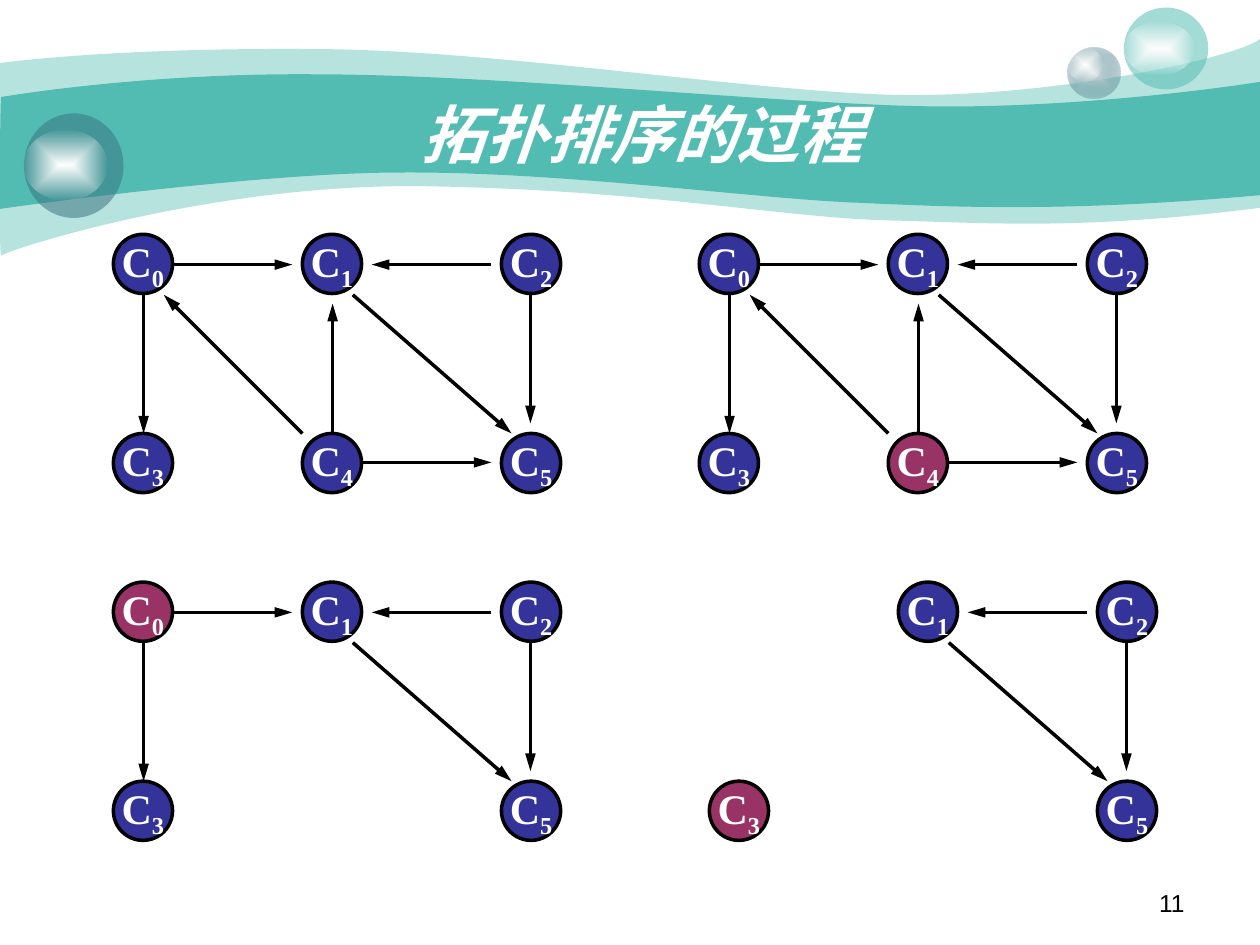
from lxml import etree
from pptx import Presentation
from pptx.dml.color import RGBColor
from pptx.enum.shapes import MSO_CONNECTOR, MSO_SHAPE
from pptx.enum.text import MSO_ANCHOR, PP_ALIGN
from pptx.oxml import parse_xml
from pptx.oxml.ns import nsdecls, qn
from pptx.util import Pt

PX = 9144
OVAL = MSO_SHAPE.OVAL
STRAIGHT = MSO_CONNECTOR.STRAIGHT
MIDDLE = MSO_ANCHOR.MIDDLE
CENTER = PP_ALIGN.CENTER
RIGHT = PP_ALIGN.RIGHT

COLORS = {
    "teal": "52BCB2",
    "slate": "37737F",
    "mist": "CCDBDE",
    "white": "FFFFFF",
    "black": "000000",
    "waiting": "333399",
    "chosen": "993366",
}


def paint(shape, inner, inner_alpha=100, outer=None, outer_alpha=100):
    shape.shadow.inherit = False
    shape.line.fill.background()
    shape.fill.background()
    stops = [
        f'<a:srgbClr val="{COLORS[name]}"><a:alpha val="{alpha * 1000}"/></a:srgbClr>'
        for name, alpha in ((inner, inner_alpha), (outer, outer_alpha)) if name
    ]
    if outer:
        fill = (
            f'<a:gradFill {nsdecls("a")} rotWithShape="1"><a:gsLst>'
            f'<a:gs pos="0">{stops[0]}</a:gs><a:gs pos="100000">{stops[1]}</a:gs></a:gsLst>'
            '<a:path path="rect"><a:fillToRect l="50000" t="50000" r="50000" b="50000"/></a:path>'
            '</a:gradFill>'
        )
    else:
        fill = f'<a:solidFill {nsdecls("a")}>{stops[0]}</a:solidFill>'
    properties = shape._element.spPr
    properties.replace(properties.find(qn("a:noFill")), parse_xml(fill))


def add_run(paragraph, text, size, font, color, bold=False):
    run = paragraph.add_run()
    run.text = text
    run.font.size = Pt(size)
    run.font.name = font
    run.font.bold = bold
    run.font.color.rgb = RGBColor.from_string(COLORS[color])
    return run


presentation = Presentation()
presentation.slide_width = 1000 * PX
presentation.slide_height = 750 * PX
slide = presentation.slides.add_slide(presentation.slide_layouts[6])
shapes = slide.shapes

WAVES = [
    (41, (0, 50), [
        [(24, 47), (107, 38), (247, 39)],
        [(386, 39), (575, 70), (699, 75)],
        [(822, 80), (980, 47), (1000, 31)],
        [(1000, 165)],
        [(858, 183), (787, 177), (705, 175)],
        [(622, 173), (515, 151), (343, 148)],
        [(172, 144), (4, 199), (1, 203)],
        [(-1, 208), (0, 75), (0, 50)],
    ]),
    (100, (1, 77), [
        [(2, 77), (110, 58), (248, 59)],
        [(386, 59), (595, 80), (718, 84)],
        [(841, 88), (976, 69), (1000, 65)],
        [(1000, 155)],
        [(853, 168), (765, 165), (682, 161)],
        [(599, 158), (447, 136), (317, 137)],
        [(203, 137), (-2, 166), (-1, 166)],
        [(0, 166), (0, 77), (1, 77)],
    ]),
]
for alpha, start, segments in WAVES:
    builder = shapes.build_freeform(*start, scale=PX)
    builder.add_line_segments([point for segment in segments for point in segment], close=True)
    wave = builder.convert_to_shape()
    paint(wave, "teal", alpha)
    lines = iter(list(wave._element.iter(qn("a:lnTo"))))
    for segment in segments:
        pieces = [next(lines) for point in segment]
        if len(pieces) == 3:
            pieces[0].addprevious(curve := etree.Element(qn("a:cubicBezTo")))
            for piece in pieces:
                curve.append(piece[0])
                piece.getparent().remove(piece)

GLOW = ("white", 100, "white", 0)
BUBBLES = [
    ((847, 38, 42, 40), ("mist", 100, "slate", 31)),
    ((847, 38, 28, 27), GLOW),
    ((892, 6, 67, 65), ("teal", 53)),
    ((892, 17, 56, 43), GLOW),
    ((19, 90, 79, 83), ("slate", 53)),
    ((19, 103, 66, 56), GLOW),
]
for box, look in BUBBLES:
    paint(shapes.add_shape(OVAL, *[value * PX for value in box]), *look)

number_box = shapes.add_textbox(717 * PX, 700 * PX, 233 * PX, 35 * PX)
number_box.text_frame.word_wrap = True
paragraph = number_box.text_frame.paragraphs[0]
paragraph.alignment = RIGHT
add_run(paragraph, "11", 14, "Arial", "black")

NODE_SIZE = 47
NODES = {0: (0, 0), 3: (0, 158), 1: (150, 0), 5: (308, 158), 2: (308, 0), 4: (150, 158)}
EDGES = {
    (0, 1): (48, 24, 142, 24),
    (2, 1): (300, 24, 205, 24),
    (2, 5): (331, 48, 331, 150),
    (1, 5): (190, 48, 316, 158),
    (4, 5): (197, 181, 300, 181),
    (4, 1): (174, 158, 174, 55),
    (4, 0): (150, 158, 40, 48),
    (0, 3): (24, 48, 24, 158),
}
GRAPHS = [
    (90, 186, {0, 1, 2, 3, 4, 5}, None),
    (555, 186, {0, 1, 2, 3, 4, 5}, 4),
    (90, 462, {0, 1, 2, 3, 5}, 0),
    (563, 462, {1, 2, 3, 5}, 3),
]
for left, top, present, chosen in GRAPHS:
    for node, (x, y) in NODES.items():
        if node not in present:
            continue
        shape = shapes.add_shape(
            OVAL, (left + x) * PX, (top + y) * PX, NODE_SIZE * PX, NODE_SIZE * PX)
        paint(shape, "chosen" if node == chosen else "waiting")
        shape.line.color.rgb = RGBColor.from_string(COLORS["black"])
        shape.line.width = Pt(2)
        shape.text_frame.word_wrap = False
        shape.text_frame.vertical_anchor = MIDDLE
        paragraph = shape.text_frame.paragraphs[0]
        paragraph.alignment = CENTER
        add_run(paragraph, "C", 24, "Times New Roman", "white", True)
        subscript = add_run(paragraph, str(node), 24, "Times New Roman", "white", True)
        subscript._r.get_or_add_rPr().set("baseline", "-25000")

    for (source, target), (x1, y1, x2, y2) in EDGES.items():
        if not {source, target} <= present:
            continue
        arrow = shapes.add_connector(
            STRAIGHT, (left + x1) * PX, (top + y1) * PX, (left + x2) * PX, (top + y2) * PX)
        arrow.line.color.rgb = RGBColor.from_string(COLORS["black"])
        arrow.line.width = Pt(2)
        properties = arrow._element.spPr
        etree.SubElement(
            properties.find(qn("a:ln")), qn("a:tailEnd"), type="triangle", w="med", len="lg")
        etree.SubElement(properties, qn("a:effectLst"))

title_box = shapes.add_textbox(100 * PX, 75 * PX, 808 * PX, 62 * PX)
title_box.text_frame.word_wrap = True
title_box.text_frame.vertical_anchor = MIDDLE
title_box.text_frame.margin_left = 21 * PX
paragraph = title_box.text_frame.paragraphs[0]
paragraph.alignment = CENTER
add_run(paragraph, "拓扑排序的过程", 36, "Arial", "white", True).font.italic = True

presentation.save("out.pptx")
